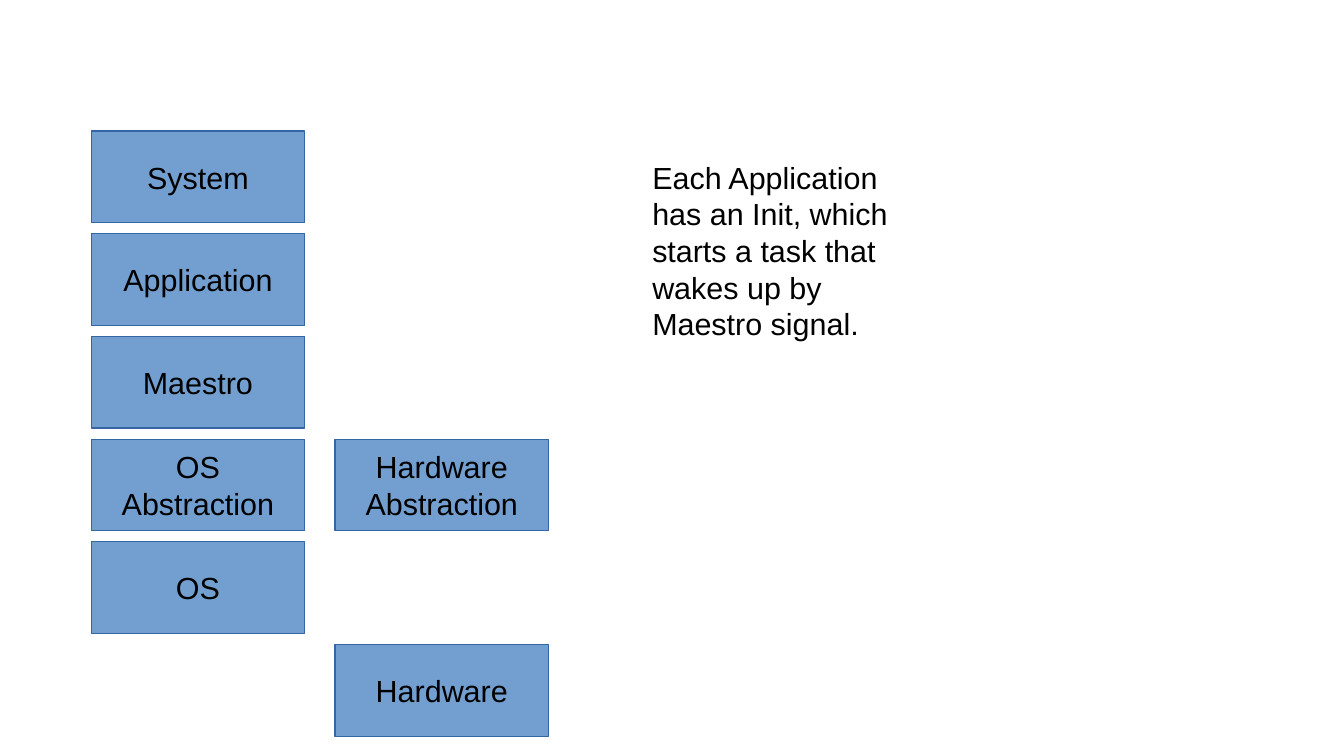
from pptx import Presentation
from pptx.dml.color import RGBColor
from pptx.enum.shapes import MSO_SHAPE
from pptx.enum.text import MSO_ANCHOR, MSO_AUTO_SIZE, PP_ALIGN
from pptx.util import Cm, Pt

RECTANGLE = MSO_SHAPE.RECTANGLE
MIDDLE, TOP = MSO_ANCHOR.MIDDLE, MSO_ANCHOR.TOP
CENTER, LEFT = PP_ALIGN.CENTER, PP_ALIGN.LEFT
GROW = MSO_AUTO_SIZE.SHAPE_TO_FIT_TEXT

LAYERS = [
    ("System", 0, 0),
    ("Application", 0, 1),
    ("Maestro", 0, 2),
    ("OS Abstraction", 0, 3),
    ("Hardware Abstraction", 1, 3),
    ("OS", 0, 4),
    ("Hardware", 1, 5),
]
NOTE = "Each Application has an Init, which starts a task that wakes up by Maestro signal."


def color(value):
    return RGBColor.from_string(value)


def apply_format(target, values):
    for name, value in values.items():
        setattr(target, name, value)


class Diagram:
    fill = "729FCF"
    line = "3465A4"
    ink = "000000"
    font = {"name": "Arial", "size": Pt(18)}
    frame = {
        "word_wrap": True,
        "margin_left": Cm(0.25),
        "margin_right": Cm(0.25),
        "margin_top": Cm(0.13),
        "margin_bottom": Cm(0.13),
    }

    def __init__(self, page):
        self.page = page

    def label(self, box, text, alignment, frame):
        apply_format(box.text_frame, {**self.frame, **frame})
        para = box.text_frame.paragraphs[0]
        para.alignment = alignment
        span = para.add_run()
        span.text = text
        apply_format(span.font, self.font)
        span.font.color.rgb = color(self.ink)

    def layer(self, text, column, row):
        box = self.page.shapes.add_shape(
            RECTANGLE, Cm(1.9 + 5.08 * column), Cm(2.73 + 2.14 * row), Cm(4.45), Cm(1.91))
        box.shadow.inherit = False
        box.fill.solid()
        box.fill.fore_color.rgb = color(self.fill)
        box.line.color.rgb = color(self.line)
        box.line.width = Pt(0)
        self.label(box, text, CENTER, {"vertical_anchor": MIDDLE})

    def note(self, text, left, top, width, height):
        box = self.page.shapes.add_textbox(Cm(left), Cm(top), Cm(width), Cm(height))
        self.label(box, text, LEFT, {"vertical_anchor": TOP, "auto_size": GROW})


def main():
    deck = Presentation()
    apply_format(deck, {"slide_width": Cm(28), "slide_height": Cm(15.75)})
    diagram = Diagram(deck.slides.add_slide(deck.slide_layouts[6]))
    for text, column, row in LAYERS:
        diagram.layer(text, column, row)
    diagram.note(NOTE, 13.34, 3.18, 5.72, 3.81)
    deck.save("out.pptx")


if __name__ == "__main__":
    main()
